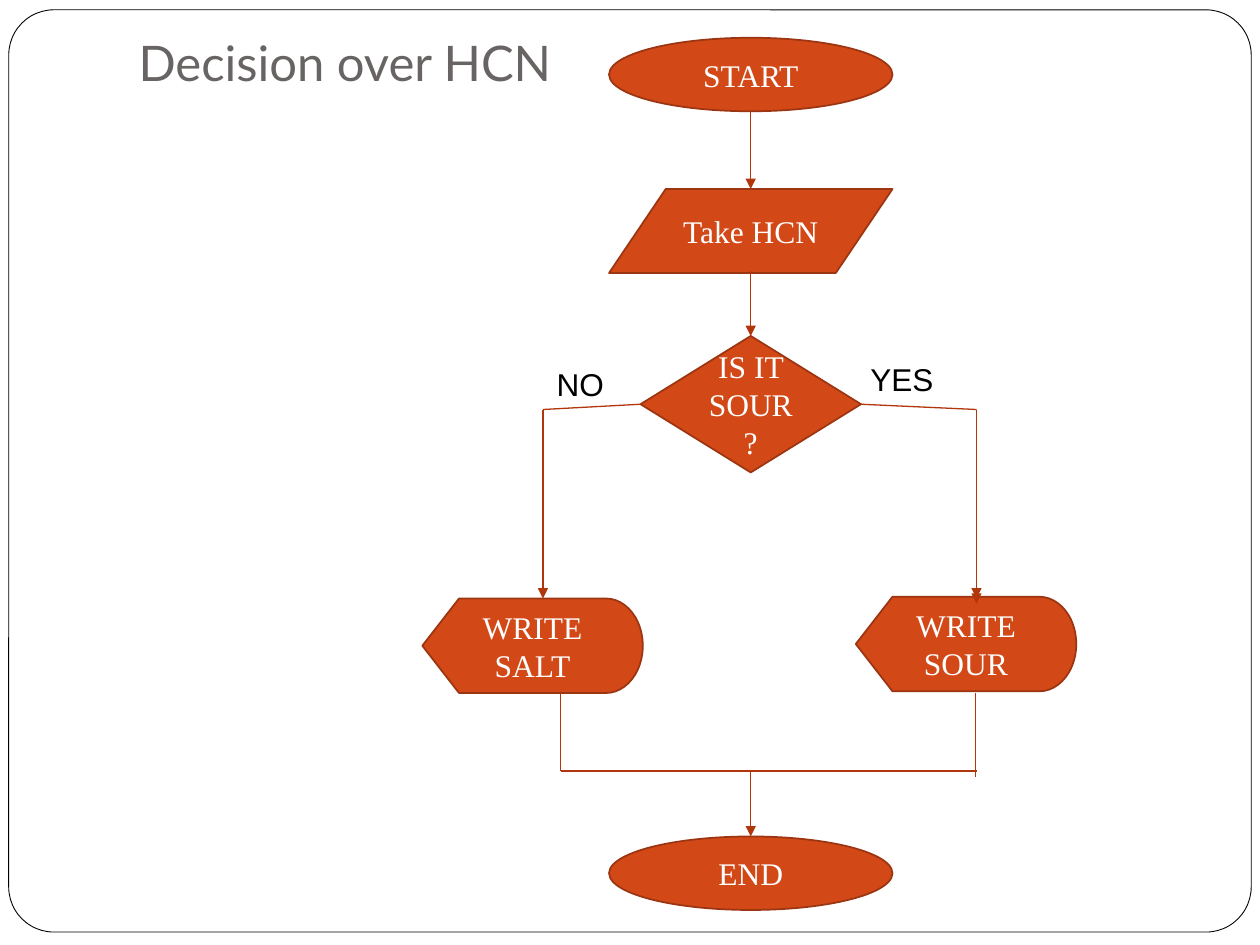
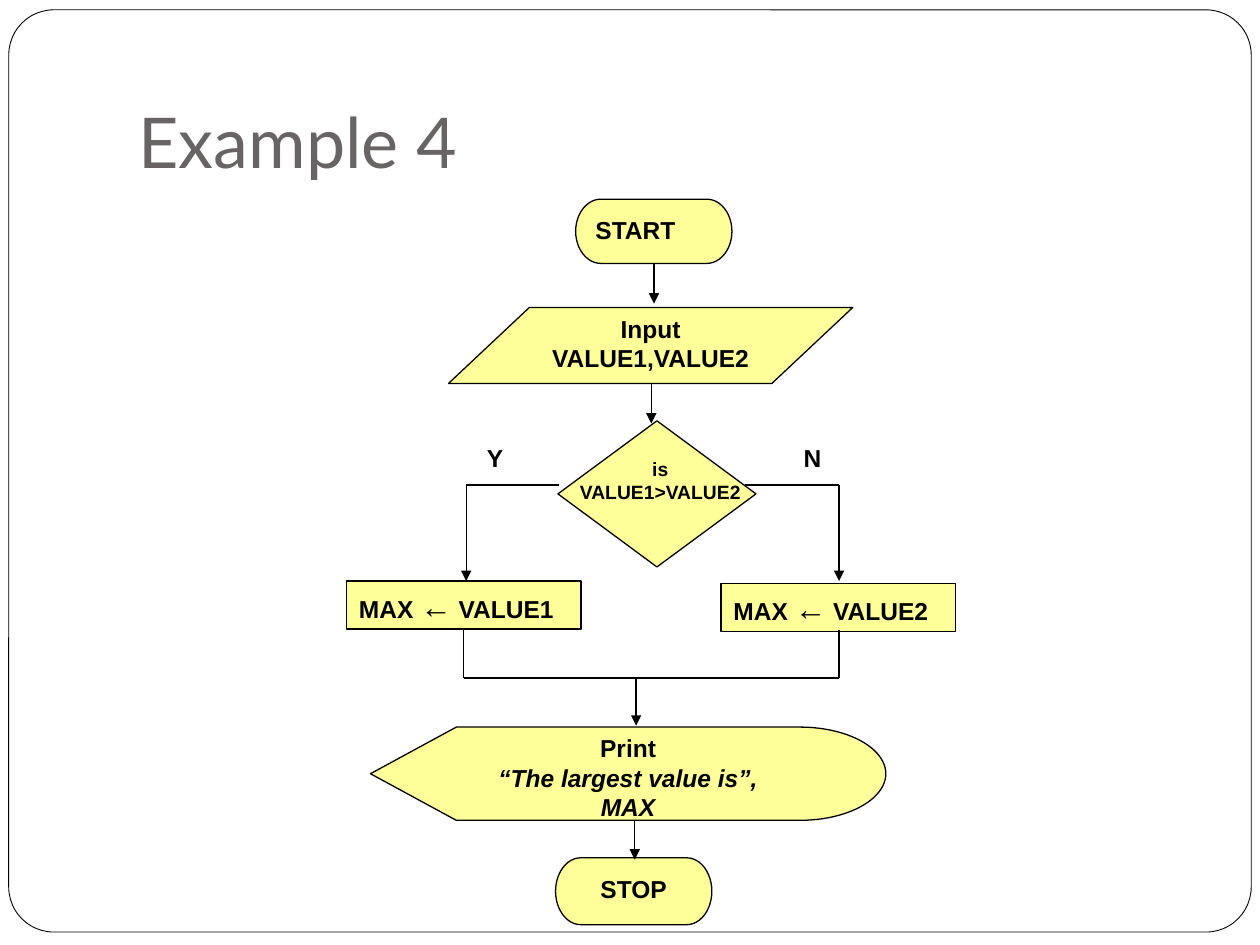
from lxml.etree import SubElement
from pptx import Presentation
from pptx.dml.color import RGBColor
from pptx.enum.shapes import MSO_CONNECTOR, MSO_SHAPE
from pptx.enum.text import MSO_ANCHOR, MSO_AUTO_SIZE, PP_ALIGN
from pptx.oxml.ns import qn
from pptx.util import Pt

COLOURS = {
    "black": "000000",
    "white": "FFFFFF",
    "title": "696464",
    "orange": "D34817",
    "orange edge": "9C3511",
    "orange line": "B1360B",
    "yellow": "FFFF99",
}
CENTER, LEFT = PP_ALIGN.CENTER, PP_ALIGN.LEFT


def colour(name):
    return RGBColor.from_string(COLOURS[name])


def write(frame, paragraphs, size=14, font="Arial", ink="black", bold=False,
          align=LEFT, anchor=MSO_ANCHOR.TOP, wrap=True):
    """Fill a frame; a paragraph is a string or a list of (text, run format)."""
    frame.word_wrap = wrap
    frame.vertical_anchor = anchor
    for index, content in enumerate(paragraphs):
        paragraph = frame.add_paragraph() if index else frame.paragraphs[0]
        paragraph.alignment = align
        pieces = [(content, {})] if isinstance(content, str) else content
        for text, changes in pieces:
            run = paragraph.add_run()
            run.text = text
            run.font.name = font
            run.font.size = Pt(changes.get("size", size))
            run.font.bold = changes.get("bold", bold)
            run.font.italic = changes.get("italic", False)
            run.font.color.rgb = colour(ink)


class Flowchart:
    """One slide with its frame, its title and the style of its chart."""

    def __init__(self, presentation, title, title_size, title_height,
                 fill, edge, edge_width, line, text):
        self.slide = presentation.slides.add_slide(presentation.slide_layouts[5])
        self.fill, self.edge, self.edge_width = fill, edge, edge_width
        self.line_colour, self.text = line, text
        self.add_frame()
        self.add_title(title, title_size, title_height)

    def add_frame(self):
        frame = self.slide.shapes.add_shape(
            MSO_SHAPE.ROUNDED_RECTANGLE, Pt(5), Pt(5.6), Pt(710), Pt(527))
        frame.adjustments[0] = 0.049
        frame.shadow.inherit = False
        frame.fill.background()
        frame.line.color.rgb = colour("black")
        frame.line.width = Pt(0.5)

    def add_title(self, title, size, height):
        shape = self.slide.shapes.title
        shape.left, shape.top = Pt(72), Pt(21.6)
        shape.width, shape.height = Pt(612), Pt(height)
        frame = shape.text_frame
        frame.auto_size = MSO_AUTO_SIZE.NONE
        frame.margin_left = frame.margin_right = frame.margin_bottom = Pt(7.2)
        frame.margin_top = Pt(3.6)
        write(frame, [title], size=size, font="Lato", ink="title",
              anchor=MSO_ANCHOR.BOTTOM)

    def step(self, kind, left, top, width, height, *paragraphs, **changes):
        shape = self.slide.shapes.add_shape(
            kind, Pt(left), Pt(top), Pt(width), Pt(height))
        shape.shadow.inherit = False
        shape.fill.solid()
        shape.fill.fore_color.rgb = colour(self.fill)
        shape.line.color.rgb = colour(self.edge)
        shape.line.width = Pt(self.edge_width)
        write(shape.text_frame, paragraphs, **{**self.text, **changes})

    def label(self, left, top, width, height, *paragraphs, **style):
        box = self.slide.shapes.add_textbox(
            Pt(left), Pt(top), Pt(width), Pt(height))
        write(box.text_frame, paragraphs, **style)

    def route(self, *points, arrow=False):
        """Join the points by straight lines; an arrow ends the last one."""
        for start, end in zip(points, points[1:]):
            line = self.slide.shapes.add_connector(
                MSO_CONNECTOR.STRAIGHT, *(Pt(value) for value in start + end))
            line.line.color.rgb = colour(self.line_colour)
            line.line.width = Pt(0.75)
            properties = line._element.spPr
            if arrow and end == points[-1]:
                SubElement(properties.find(qn("a:ln")), qn("a:tailEnd"),
                           type="triangle")
            SubElement(properties, qn("a:effectLst"))


def build_sour_decision(presentation):
    chart = Flowchart(
        presentation, "Decision over HCN", 28, 38,
        fill="orange", edge="orange edge", edge_width=1, line="orange line",
        text={"size": 18, "font": "Times New Roman", "ink": "white",
              "align": CENTER, "anchor": MSO_ANCHOR.MIDDLE})
    middle, no_x, yes_x, bend_y, join_y = 429, 310.3, 558, 234, 440.6

    # Steps on the main axis
    for kind, text, top, width, height in (
            (MSO_SHAPE.OVAL, "START", 21.6, 162, 42),
            (MSO_SHAPE.OVAL, "END", 478, 162, 42),
            (MSO_SHAPE.FLOWCHART_DATA, "Take HCN", 108, 162, 48),
            (MSO_SHAPE.DIAMOND, "IS IT SOUR?", 192, 126, 78)):
        chart.step(kind, middle - width / 2, top, width, height, text)

    # Results
    for text, left, top in (("WRITE SOUR", 489, 341), ("WRITE SALT", 241.3, 342)):
        chart.step(MSO_SHAPE.FLOWCHART_DISPLAY, left, top, 126, 54, text)

    # Flow lines
    for top, bottom in ((63.5, 108), (155, 192), (join_y, 478)):
        chart.route((middle, top), (middle, bottom), arrow=True)
    for corner_x, bend_x in ((middle - 63, no_x), (middle + 63, yes_x)):
        chart.route((corner_x, 231), (bend_x, bend_y), (bend_x, 342), arrow=True)
    chart.route((yes_x, 237), (yes_x, 345), arrow=True)
    chart.route((320.4, 396), (320.4, join_y), (yes_x, join_y))
    chart.route((557.3, 396), (557.3, 444))

    # Answers
    chart.label(311, 205.2, 73.4, 29, "NO", size=18)
    chart.label(490.3, 202.1, 73.4, 29, "YES", size=18)


def build_largest_value(presentation):
    chart = Flowchart(
        presentation, "Example 4", 40, 90,
        fill="yellow", edge="black", edge_width=0.75, line="black",
        text={"bold": True, "align": CENTER})
    yes_x, no_x, branch_y, join_y = 266.4, 479.5, 277.2, 387.4

    # Steps
    terminator = MSO_SHAPE.FLOWCHART_TERMINATOR
    chart.step(terminator, 329, 113.8, 89.3, 36.7, "START", align=LEFT)
    chart.step(MSO_SHAPE.FLOWCHART_DATA, 256.3, 175.7, 231, 43.4,
               "Input", "VALUE1,VALUE2")
    chart.step(MSO_SHAPE.FLOWCHART_DECISION, 318.8, 240.5, 113.2, 83.5)
    for left, top, value in ((198, 332, "VALUE1"), (412, 333.3, "VALUE2")):
        assignment = [("MAX ", {}), ("←", {"size": 18, "bold": False}),
                      (" " + value, {})]
        chart.step(MSO_SHAPE.FLOWCHART_PROCESS, left, top, 134, 27.4,
                   assignment, align=LEFT)
    chart.step(MSO_SHAPE.FLOWCHART_DISPLAY, 211.7, 415.5, 294.5, 53.3, "Print",
               [("“The largest value is”, MAX", {"italic": True})])
    chart.step(terminator, 317.5, 490.2, 89.3, 38.2, "STOP")

    # Flow lines
    for x, top, bottom in ((373.7, 150.5, 173.5), (372.2, 219.3, 242),
                           (363.5, join_y, 414.7), (362.7, 468.8, 491.2)):
        chart.route((x, top), (x, bottom), arrow=True)
    for corner_x, x in ((319.7, yes_x), (425.5, no_x)):
        chart.route((corner_x, branch_y), (x, branch_y), (x, 332), arrow=True)
    chart.route((265, 359.4), (265, join_y), (no_x, join_y), (no_x, 360))

    # Question and answers
    chart.label(292.3, 257.8, 170, 46, "is", "VALUE1>VALUE2",
                size=11, bold=True, align=CENTER)
    chart.label(256.3, 249.8, 53.3, 27.4, "Y", bold=True, align=CENTER)
    chart.label(452.2, 249.8, 53.3, 27.4, "N", bold=True)


def main():
    presentation = Presentation()
    presentation.slide_width, presentation.slide_height = Pt(720), Pt(540)
    build_sour_decision(presentation)
    build_largest_value(presentation)
    presentation.save("out.pptx")


if __name__ == "__main__":
    main()
